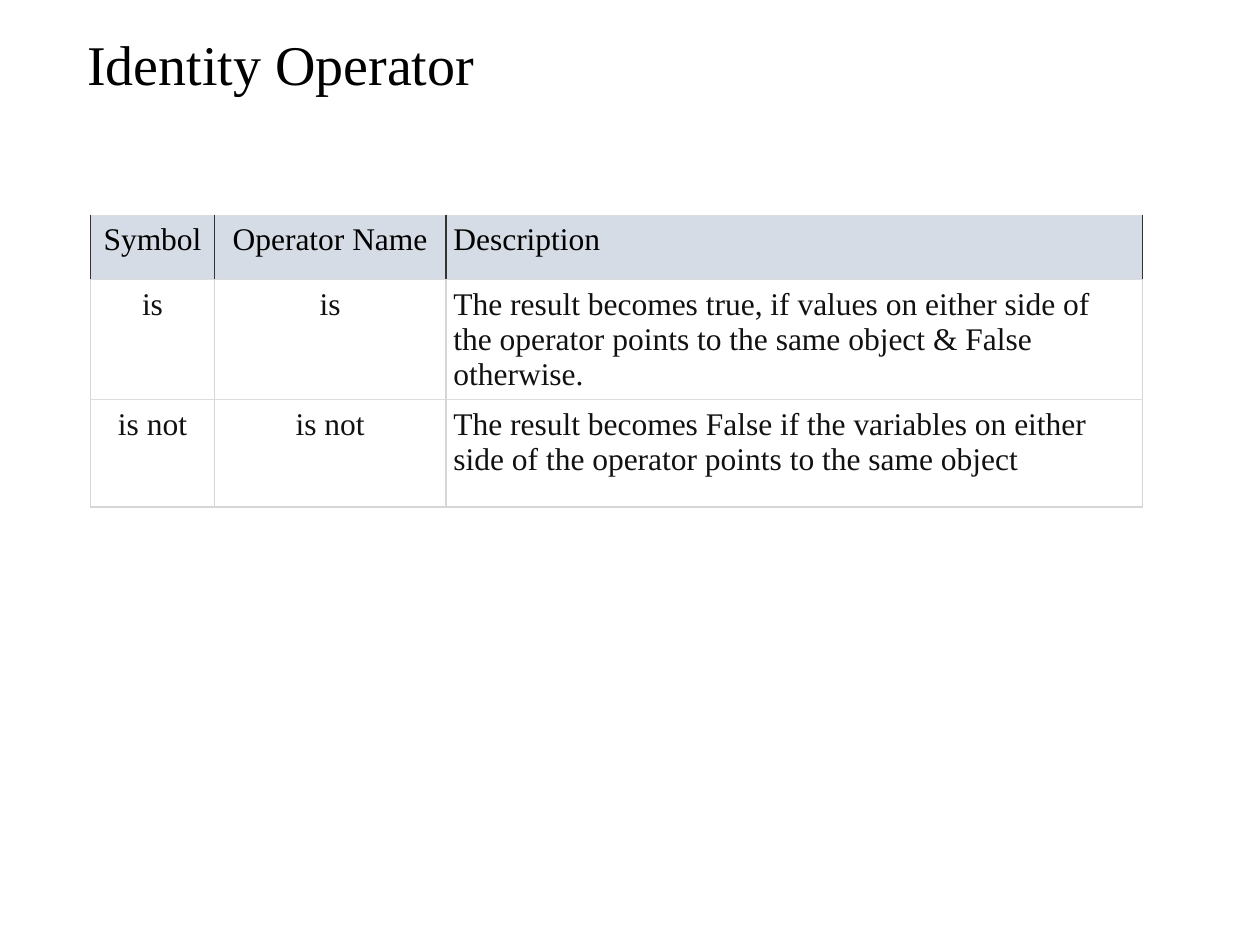
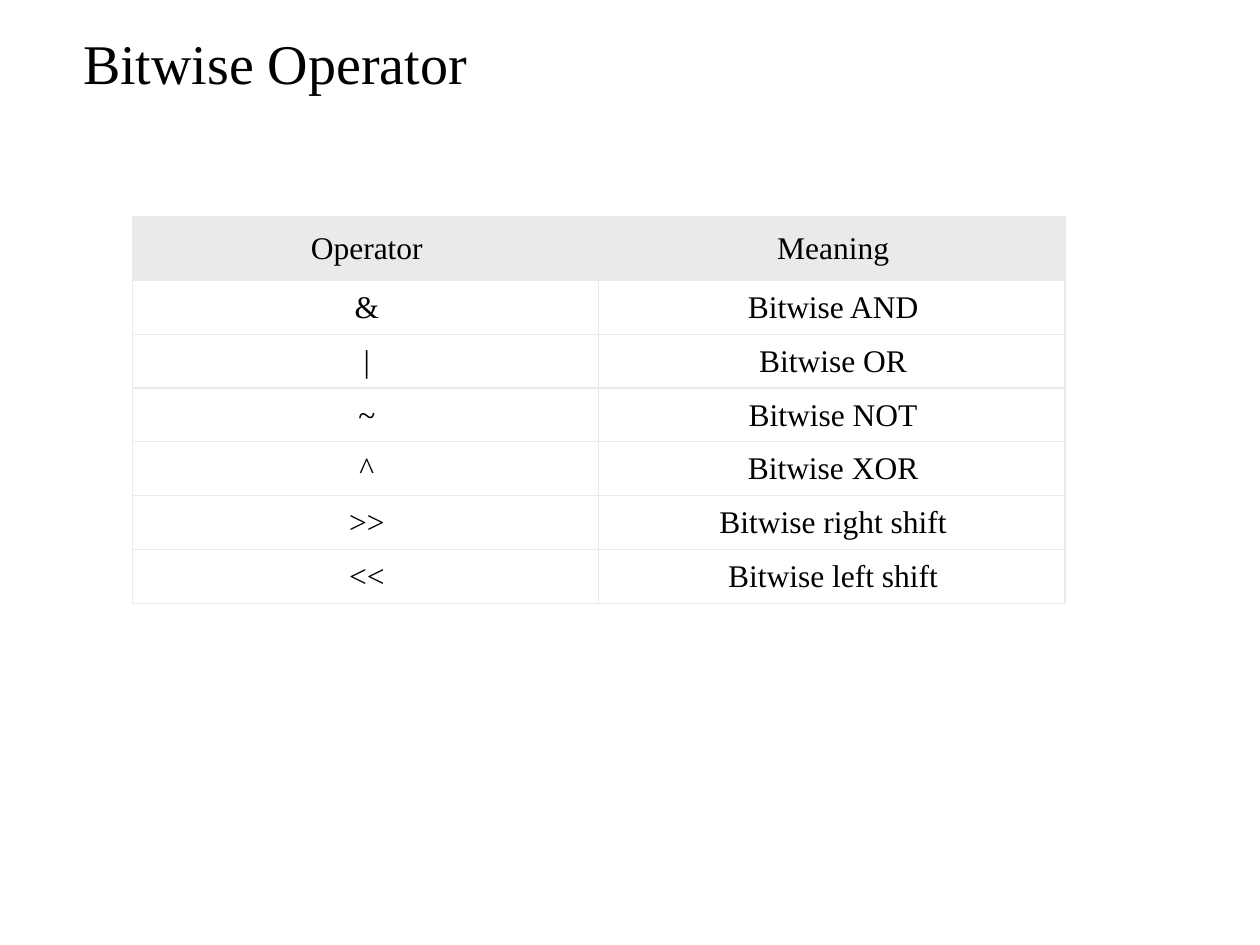
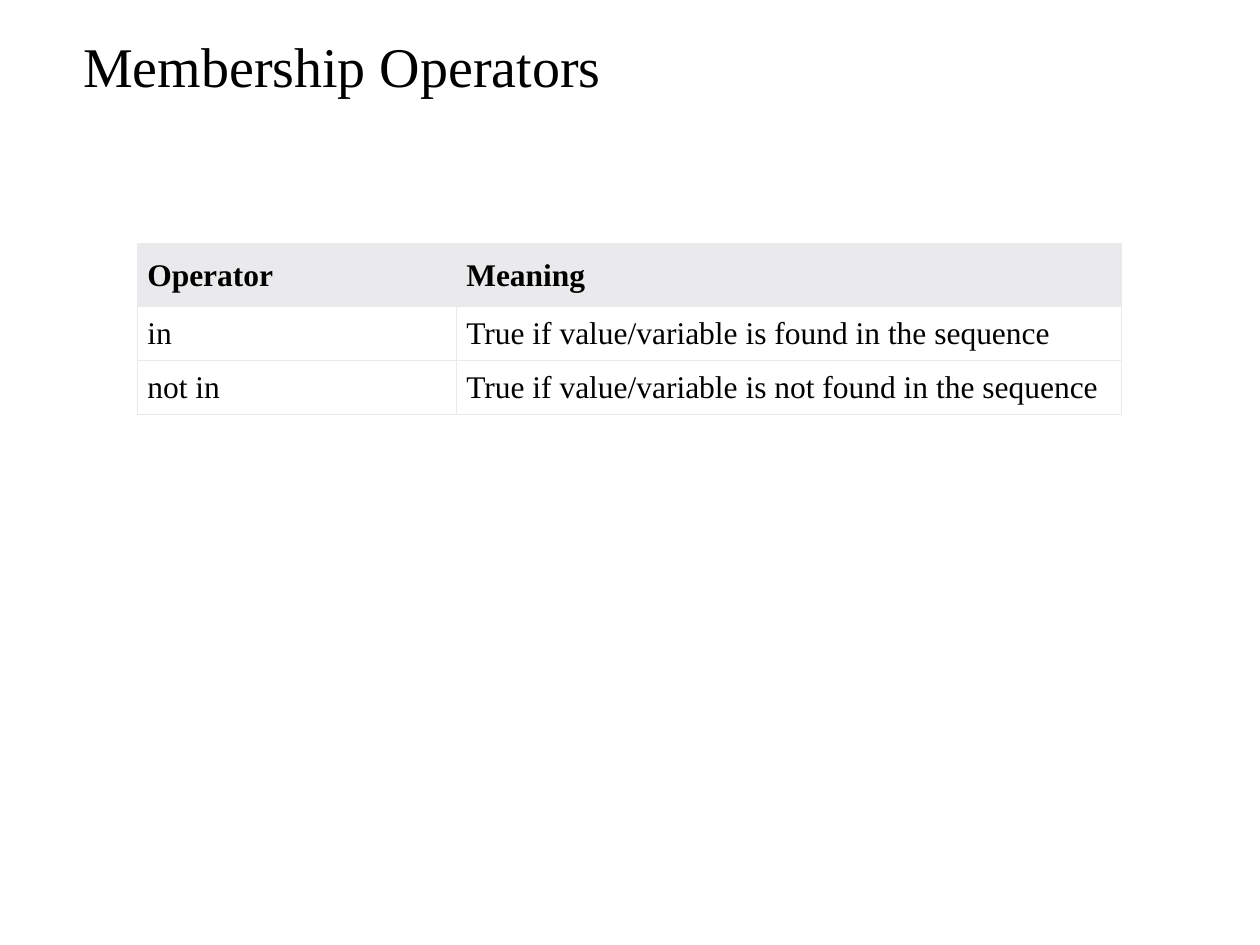
from dataclasses import dataclass
from typing import Any

from lxml.etree import SubElement
from pptx import Presentation
from pptx.dml.color import RGBColor
from pptx.enum.text import MSO_ANCHOR, MSO_AUTO_SIZE, PP_ALIGN
from pptx.oxml.ns import qn
from pptx.util import Cm, Pt

BLACK = RGBColor(0x00, 0x00, 0x00)
WHITE = RGBColor(0xFF, 0xFF, 0xFF)
INK = RGBColor(0x11, 0x11, 0x11)
CHARCOAL = RGBColor(0x33, 0x33, 0x33)
BLUE_GREY = RGBColor(0xD6, 0xDC, 0xE5)
SIDE_GREY = RGBColor(0xD6, 0xD6, 0xD6)
RULE_GREY = RGBColor(0xDD, 0xDD, 0xDD)
PALE_GREY = RGBColor(0xEA, 0xEA, 0xEC)

FONT = "Times New Roman"
TITLE_ONLY_LAYOUT = 5
BORDER_WIDTH = Pt(0.75)
LEFT, CENTER = PP_ALIGN.LEFT, PP_ALIGN.CENTER


@dataclass(frozen=True)
class Insets:
    left: float
    top: float
    right: float
    bottom: float


@dataclass(frozen=True)
class TableStyle:
    header_fill: RGBColor
    header_side: RGBColor
    side: RGBColor
    rule: RGBColor
    body_color: RGBColor
    anchor: MSO_ANCHOR
    header_insets: Insets
    body_insets: Insets


@dataclass(frozen=True)
class OperatorSlide:
    title: str
    title_box: tuple[float, float, float, float]
    table_corner: tuple[float, float]
    column_widths: tuple[float, ...]
    row_heights: tuple[float, ...]
    alignments: tuple[PP_ALIGN, ...]
    rows: tuple[tuple[str, ...], ...]
    style: TableStyle
    bold_header: bool = False


EVEN_INSETS = Insets(0.15, 0.15, 0.15, 0.15)
BLUE_STYLE = TableStyle(BLUE_GREY, CHARCOAL, SIDE_GREY, RULE_GREY, INK,
                        MSO_ANCHOR.TOP, EVEN_INSETS, EVEN_INSETS)
GREY_STYLE = TableStyle(PALE_GREY, PALE_GREY, PALE_GREY, PALE_GREY, BLACK,
                        MSO_ANCHOR.MIDDLE, Insets(0.2, 0.3, 0.15, 0.28),
                        Insets(0.2, 0.2, 0.15, 0.18))
GREY_HEADER_HEIGHT, GREY_ROW_HEIGHT = 1.27, 1.08

OPERATOR_SLIDES = (
    OperatorSlide(
        "Identity Operator", (1.5, 0.71, 21.89, 1.3), (1.83, 4.34),
        (2.49, 4.67, 14.05), (1.3, 2.42, 2.16), (CENTER, CENTER, LEFT),
        (
            ("Symbol", "Operator Name", "Description"),
            ("is", "is", "The result becomes true, if values on either side of "
                         "the operator points to the same object & False otherwise."),
            ("is not", "is not", "The result becomes False if the variables on either "
                                 "side of the operator points to the same object"),
        ),
        BLUE_STYLE,
    ),
    OperatorSlide(
        "Bitwise Operator", (1.42, 0.69, 21.79, 1.3), (2.67, 4.37),
        (9.4, 9.4), (GREY_HEADER_HEIGHT,) + (GREY_ROW_HEIGHT,) * 6, (CENTER, CENTER),
        (
            ("Operator", "Meaning"),
            ("&", "Bitwise AND"),
            ("|", "Bitwise OR"),
            ("~", "Bitwise NOT"),
            ("^", "Bitwise XOR"),
            (">>", "Bitwise right shift"),
            ("<<", "Bitwise left shift"),
        ),
        GREY_STYLE,
    ),
    OperatorSlide(
        "Membership Operators", (1.42, 0.74, 21.89, 1.3), (2.77, 4.9),
        (6.43, 13.41), (GREY_HEADER_HEIGHT,) + (GREY_ROW_HEIGHT,) * 2, (LEFT, LEFT),
        (
            ("Operator", "Meaning"),
            ("in", "True if value/variable is found in the sequence"),
            ("not in", "True if value/variable is not found in the sequence"),
        ),
        GREY_STYLE,
        bold_header=True,
    ),
)


def set_attributes(target: Any, values: dict[str, Any]) -> None:
    for name, value in values.items():
        setattr(target, name, value)


def format_font(font: Any, size: float, color: RGBColor, bold: bool = False) -> None:
    set_attributes(font, {"name": FONT, "size": Pt(size), "bold": bold})
    font.color.rgb = color


def set_borders(cell: Any, colors: dict[str, RGBColor]) -> None:
    properties = cell._tc.get_or_add_tcPr()
    for position, (edge, color) in enumerate(colors.items()):
        line = SubElement(properties, qn(f"a:ln{edge}"), w=str(BORDER_WIDTH))
        fill = SubElement(line, qn("a:solidFill"))
        SubElement(fill, qn("a:srgbClr"), val=str(color))
        properties.insert(position, line)


def add_title(slide: Any, content: OperatorSlide) -> None:
    title = slide.shapes.title
    set_attributes(title, dict(zip(("left", "top", "width", "height"),
                                   map(Cm, content.title_box))))
    title.text = content.title
    set_attributes(title.text_frame, {
        "vertical_anchor": MSO_ANCHOR.MIDDLE,
        "auto_size": MSO_AUTO_SIZE.NONE,
        "word_wrap": True,
    })
    paragraph = title.text_frame.paragraphs[0]
    set_attributes(paragraph, {"alignment": LEFT, "line_spacing": 0.9})
    format_font(paragraph.runs[0].font, 32, BLACK)


def format_cell(cell: Any, text: str, alignment: PP_ALIGN, content: OperatorSlide,
                is_header: bool, is_last: bool) -> None:
    style = content.style
    insets = style.header_insets if is_header else style.body_insets
    side = style.header_side if is_header else style.side
    cell.text = text
    set_attributes(cell, {
        "vertical_anchor": style.anchor,
        "margin_left": Cm(insets.left),
        "margin_top": Cm(insets.top),
        "margin_right": Cm(insets.right),
        "margin_bottom": Cm(insets.bottom),
    })
    cell.fill.solid()
    cell.fill.fore_color.rgb = style.header_fill if is_header else WHITE
    set_borders(cell, {"L": side, "R": side, "T": style.rule,
                       "B": style.side if is_last else style.rule})
    paragraph = cell.text_frame.paragraphs[0]
    paragraph.alignment = alignment
    format_font(paragraph.runs[0].font, 18, BLACK if is_header else style.body_color,
                is_header and content.bold_header)


def add_operator_table(slide: Any, content: OperatorSlide) -> None:
    left, top = content.table_corner
    table = slide.shapes.add_table(
        len(content.rows), len(content.column_widths), Cm(left), Cm(top),
        Cm(sum(content.column_widths)), Cm(sum(content.row_heights)),
    ).table
    set_attributes(table, {"first_row": False, "horz_banding": False})
    for column, width in zip(table.columns, content.column_widths):
        column.width = Cm(width)
    last_row = len(content.rows) - 1
    for row_index, (row, height) in enumerate(zip(table.rows, content.row_heights)):
        row.height = Cm(height)
        for cell, text, alignment in zip(row.cells, content.rows[row_index],
                                         content.alignments):
            format_cell(cell, text, alignment, content,
                        row_index == 0, row_index == last_row)


def main() -> None:
    presentation = Presentation()
    set_attributes(presentation, {"slide_width": Cm(25.4), "slide_height": Cm(19.05)})
    layout = presentation.slide_layouts[TITLE_ONLY_LAYOUT]
    for content in OPERATOR_SLIDES:
        slide = presentation.slides.add_slide(layout)
        add_title(slide, content)
        add_operator_table(slide, content)
    presentation.save("out.pptx")


if __name__ == "__main__":
    main()
